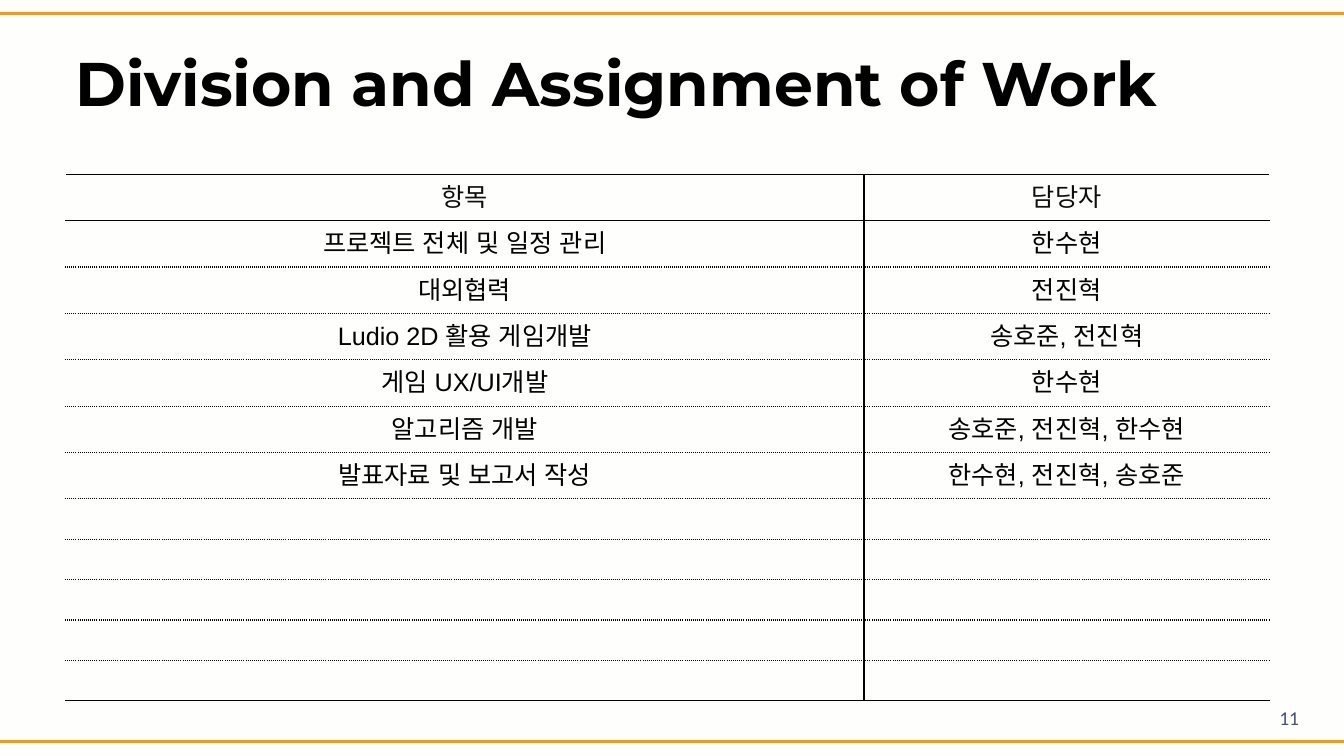
import dataclasses

import lxml.etree
import pptx
import pptx.dml.color
import pptx.enum.shapes
import pptx.enum.text
import pptx.oxml.ns
import pptx.util

Inches = pptx.util.Inches
Pt = pptx.util.Pt
qn = pptx.oxml.ns.qn
Align = pptx.enum.text.PP_ALIGN
Anchor = pptx.enum.text.MSO_ANCHOR


@dataclasses.dataclass(frozen=True)
class Theme:
    """Colours, fonts and type sizes of the slide."""
    black: str = "000000"
    header: str = "0D0D0D"
    white: str = "FFFFFF"
    tint: str = "FBFCF8"
    accent: str = "FF9900"
    number: str = "44546A"
    title_font: str = "Montserrat"
    body_font: str = "Arial"
    number_font: str = "Calibri"
    title_size: int = 44
    body_size: int = 18
    number_size: int = 14


WIDTH, HEIGHT = 13.33, 7.5
COLUMN_WIDTHS = (7.92, 4.02)
TEXT_ROW_HEIGHT, EMPTY_ROW_HEIGHT = 0.46, 0.39
EMPTY_ROWS = 5
ASSIGNMENTS = [
    ("항목", "담당자"),
    ("프로젝트 전체 및 일정 관리", "한수현"),
    ("대외협력", "전진혁"),
    ("Ludio 2D 활용 게임개발", "송호준, 전진혁"),
    ("게임 UX/UI개발", "한수현"),
    ("알고리즘 개발", "송호준, 전진혁, 한수현"),
    ("발표자료 및 보고서 작성", "한수현, 전진혁, 송호준"),
]


def rgb(color):
    """Turn a hex string into a colour."""
    return pptx.dml.color.RGBColor.from_string(color)


def write_text(frame, text, font, size, color, bold=False, align=Align.LEFT):
    """Write one formatted paragraph, or an empty one of the same font."""
    paragraph = frame.paragraphs[0]
    paragraph.alignment = align
    if text:
        run = paragraph.add_run()
        run.text = text
        run.font.size = Pt(size)
        run.font.bold = bold
        run.font.color.rgb = rgb(color)
        properties = run._r.get_or_add_rPr()
    else:
        properties = lxml.etree.SubElement(
            paragraph._p, qn("a:endParaRPr"), sz=str(size * 100))
    for script in ("latin", "ea"):
        lxml.etree.SubElement(properties, qn(f"a:{script}"), typeface=font)


def set_border(cell, side, color, dash="solid"):
    """Draw one side of a table cell; call in the order L, R, T, B."""
    properties = cell._tc.get_or_add_tcPr()
    line = lxml.etree.SubElement(properties, qn(f"a:ln{side}"), w=str(Pt(1)))
    fill = lxml.etree.SubElement(line, qn("a:solidFill"))
    lxml.etree.SubElement(fill, qn("a:srgbClr"), val=color)
    lxml.etree.SubElement(line, qn("a:prstDash"), val=dash)


class SlideBuilder:
    """Adds styled elements to the current slide."""

    def __init__(self, slide, theme):
        """Keep the slide and its theme."""
        self.slide = slide
        self.theme = theme

    def background(self, opacity):
        """Lay a translucent tint over a white background."""
        self.slide.background.fill.solid()
        self.slide.background.fill.fore_color.rgb = rgb(self.theme.white)
        shape = self.slide.shapes.add_shape(
            pptx.enum.shapes.MSO_SHAPE.RECTANGLE, 0, 0, Inches(WIDTH), Inches(HEIGHT))
        shape.shadow.inherit = False
        shape.line.fill.background()
        shape.fill.solid()
        shape.fill.fore_color.rgb = rgb(self.theme.tint)
        color = shape._element.spPr.find(f"{qn('a:solidFill')}/{qn('a:srgbClr')}")
        lxml.etree.SubElement(color, qn("a:alpha"), val=str(opacity * 1000))

    def text(self, left, top, width, height, text, anchor=Anchor.TOP, **style):
        """Add a wrapping text box."""
        box = self.slide.shapes.add_textbox(
            Inches(left), Inches(top), Inches(width), Inches(height))
        box.text_frame.word_wrap = True
        box.text_frame.vertical_anchor = anchor
        write_text(box.text_frame, text, **style)

    def rule(self, y):
        """Add an accent line across the whole slide."""
        line = self.slide.shapes.add_connector(
            pptx.enum.shapes.MSO_CONNECTOR.STRAIGHT,
            Inches(WIDTH), Inches(y), 0, Inches(y))
        line.line.color.rgb = rgb(self.theme.accent)
        line.line.width = Pt(2)
        lxml.etree.SubElement(line._element.spPr, qn("a:effectLst"))

    def table(self, left, top, rows):
        """Add a table with a solid frame and header and dotted row lines."""
        theme = self.theme
        heights = [TEXT_ROW_HEIGHT if any(row) else EMPTY_ROW_HEIGHT for row in rows]
        table = self.slide.shapes.add_table(
            len(rows), len(COLUMN_WIDTHS), Inches(left), Inches(top),
            Inches(sum(COLUMN_WIDTHS)), Inches(sum(heights))).table
        table.first_row = table.horz_banding = False
        for column, width in zip(table.columns, COLUMN_WIDTHS):
            column.width = Inches(width)
        for row_index, values in enumerate(rows):
            table.rows[row_index].height = Inches(heights[row_index])
            top_dash = "solid" if row_index < 2 else "sysDot"
            bottom_dash = "solid" if row_index in (0, len(rows) - 1) else "sysDot"
            for column_index, value in enumerate(values):
                cell = table.cell(row_index, column_index)
                cell.vertical_anchor = Anchor.MIDDLE
                first = column_index == 0
                set_border(cell, "L", theme.white if first else theme.black)
                set_border(cell, "R", theme.black if first else theme.white)
                set_border(cell, "T", theme.black, top_dash)
                set_border(cell, "B", theme.black, bottom_dash)
                cell.fill.background()
                write_text(cell.text_frame, value, theme.body_font, theme.body_size,
                           theme.black if row_index else theme.header,
                           align=Align.CENTER)


def main():
    """Build and save the slide."""
    presentation = pptx.Presentation()
    presentation.slide_width = Inches(WIDTH)
    presentation.slide_height = Inches(HEIGHT)
    theme = Theme()
    builder = SlideBuilder(
        presentation.slides.add_slide(presentation.slide_layouts[6]), theme)
    builder.background(opacity=18)
    builder.text(0.65, 0.29, 12, 0.94, "Division and Assignment of Work",
                 anchor=Anchor.BOTTOM, font=theme.title_font,
                 size=theme.title_size, color=theme.black, bold=True)
    builder.table(0.65, 1.73, ASSIGNMENTS + [("", "")] * EMPTY_ROWS)
    builder.text(12.59, 6.95, 0.53, 0.4, "11", font=theme.number_font,
                 size=theme.number_size, color=theme.number)
    for y in (0.13, 7.36):
        builder.rule(y)
    presentation.save("out.pptx")


if __name__ == "__main__":
    main()
